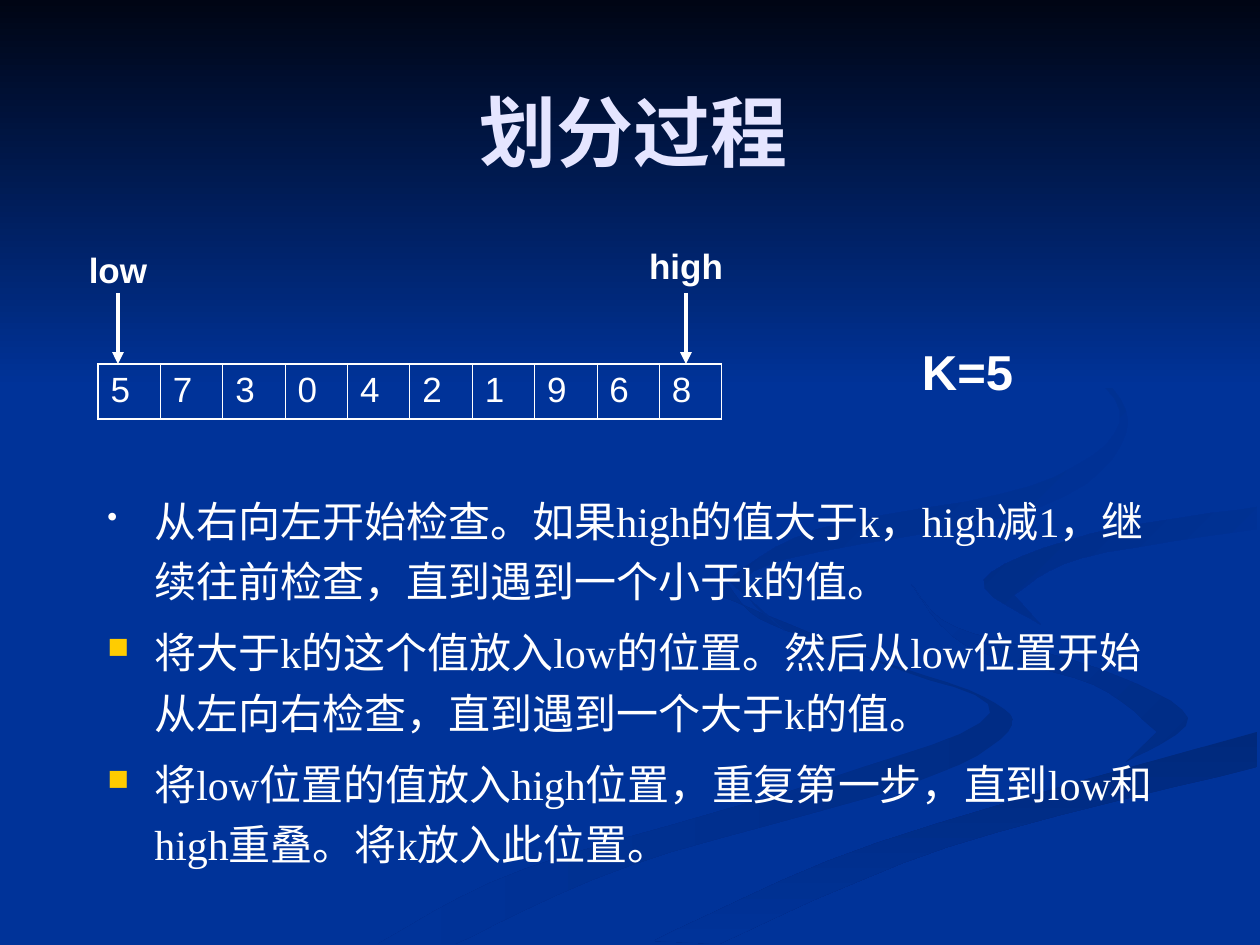
import dataclasses

import lxml.etree
import pptx
import pptx.dml.color
import pptx.enum.shapes
import pptx.enum.text
import pptx.oxml.ns
import pptx.util

SCALE = 914400 / 126  # EMU in one px
ALIGN = pptx.enum.text.PP_ALIGN
ANCHOR = pptx.enum.text.MSO_ANCHOR


@dataclasses.dataclass(frozen=True)
class Theme:
    night: str = "000514"
    blue: str = "003399"
    shade: str = "002C85"
    deep_shade: str = "00297C"
    heading: str = "E5E5FF"
    white: str = "FFFFFF"
    gold: str = "FFCC00"
    serif: str = "Times New Roman"
    sans: str = "Arial"
    title_size: int = 44
    key_size: int = 28
    body_size: int = 24
    label_size: int = 20


@dataclasses.dataclass(frozen=True)
class Box:
    left: int
    top: int
    width: int
    height: int


THEME = Theme()

# Each swirl: first colour, last colour, gradient angle, then its two edges in px
SWIRLS = [
    (THEME.shade, THEME.blue, 180,
     [(724, 578), (760, 619), (859, 654), (984, 697), (1008, 732), (908, 785), (629, 866), (455, 944)],
     [(378, 944), (525, 869), (822, 781), (990, 713), (878, 662), (718, 595)]),
    (THEME.shade, THEME.blue, 135,
     [(912, 585), (955, 627), (1097, 668), (1188, 718), (1126, 762)],
     [(1157, 732), (1094, 685), (965, 645), (912, 585)]),
    (THEME.deep_shade, THEME.blue, 270,
     [(654, 941), (877, 843), (1257, 732)],
     [(1257, 767), (948, 847), (719, 944)]),
    (THEME.blue, THEME.shade, 135,
     [(1257, 507), (1090, 534), (984, 580), (1041, 625)],
     [(1014, 595), (1082, 558), (1257, 529)]),
    (THEME.blue, THEME.shade, 135,
     [(960, 294), (1089, 367), (1126, 433), (1040, 507), (786, 559), (747, 592), (784, 630)],
     [(728, 580), (818, 529), (1031, 486), (1120, 422), (1066, 352), (960, 294)]),
]
VALUES = "5730421968"
STEPS = [
    ("•", THEME.white, 15, "从右向左开始检查。如果high的值大于k，high减1，继续往前检查，直到遇到一个小于k的值。"),
    ("■", THEME.gold, 6, "将大于k的这个值放入low的位置。然后从low位置开始从左向右检查，直到遇到一个大于k的值。"),
    ("■", THEME.gold, 6, "将low位置的值放入high位置，重复第一步，直到low和high重叠。将k放入此位置。"),
]


def px(length):
    return pptx.util.Emu(round(length * SCALE))


def place(box):
    return [px(length) for length in dataclasses.astuple(box)]


def rgb(colour):
    return pptx.dml.color.RGBColor.from_string(colour)


def add_node(parent, tag, **attributes):
    return lxml.etree.SubElement(parent, pptx.oxml.ns.qn(tag), attributes)


def style_text(para, font, size, colour, bold=False):
    for span in para.runs:
        span.font.name = font
        span.font.size = pptx.util.Pt(size)
        span.font.bold = bold
        span.font.color.rgb = rgb(colour)


def smooth(edge, steps=6):
    """Return points on a Catmull-Rom curve through the edge."""
    knots = [edge[0], *edge, edge[-1]]
    curve = []
    for quad in zip(knots, knots[1:], knots[2:], knots[3:]):
        for step in range(steps):
            t = step / steps
            curve.append(tuple(
                b + t / 2 * (c - a + t * (2 * a - 5 * b + 4 * c - d + t * (3 * (b - c) + d - a)))
                for a, b, c, d in zip(*quad)))
    return curve + [edge[-1]]


def paint(shape, first, last, angle):
    """Fill without outline or shadow; the angle runs counter-clockwise."""
    shape.shadow.inherit = False
    shape.line.fill.background()
    shape.fill.gradient()
    shape.fill.gradient_angle = angle
    for stop, colour in zip(shape.fill.gradient_stops, (first, last)):
        stop.color.rgb = rgb(colour)


def add_backdrop(page, box):
    page.background.fill.solid()
    page.background.fill.fore_color.rgb = rgb(THEME.blue)
    for first, last, angle, *edges in SWIRLS:
        outline = [point for edge in edges for point in smooth(edge)]
        builder = page.shapes.build_freeform(*outline[0], scale=SCALE)
        builder.add_line_segments(outline[1:], close=True)
        paint(builder.convert_to_shape(px(box.left), px(box.top)), first, last, angle)
    sky = Box(box.left, box.top, box.width, 388)
    shape = page.shapes.add_shape(pptx.enum.shapes.MSO_SHAPE.RECTANGLE, *place(sky))
    paint(shape, THEME.night, THEME.blue, 270)


def add_text(page, box, text, font, size, colour, before=0, anchor=ANCHOR.TOP):
    """Add one centred bold line."""
    frame = page.shapes.add_textbox(*place(box)).text_frame
    frame.word_wrap = True
    frame.vertical_anchor = anchor
    para = frame.paragraphs[0]
    para.text = text
    para.alignment = ALIGN.CENTER
    para.space_before = pptx.util.Pt(before)
    style_text(para, font, size, colour, bold=True)


def add_steps(page, box):
    frame = page.shapes.add_textbox(*place(box)).text_frame
    frame.word_wrap = True
    frame.text = "\n".join(text for *_, text in STEPS)
    for para, (bullet, colour, before, _) in zip(frame.paragraphs, STEPS):
        para.line_spacing = 1.2
        para.space_before = pptx.util.Pt(before)
        style_text(para, THEME.serif, THEME.body_size, THEME.white)
        props = para._p.get_or_add_pPr()
        props.set("marL", str(px(47)))
        props.set("indent", str(px(-47)))
        add_node(add_node(props, "a:buClr"), "a:srgbClr", val=colour)
        add_node(props, "a:buSzPct", val="70000")
        add_node(props, "a:buChar", char=bullet)


def set_borders(cell, widths):
    props = cell._tc.get_or_add_tcPr()
    for side, width in widths.items():
        line = add_node(props, "a:ln" + side, w=str(pptx.util.Pt(width)))
        add_node(add_node(line, "a:solidFill"), "a:srgbClr", val=THEME.white)


def add_array(page, box):
    table = page.shapes.add_table(1, len(VALUES), *place(box)).table
    table.first_row = table.horz_banding = False
    thin, thick = 0.45, 1.08
    last = len(VALUES) - 1
    for index, value in enumerate(VALUES):
        table.columns[index].width = px(box.width / len(VALUES))
        cell = table.cell(0, index)
        cell.text_frame.text = value
        style_text(cell.text_frame.paragraphs[0], THEME.sans, THEME.label_size, THEME.white)
        set_borders(cell, {"L": thick if index == 0 else thin, "R": thick if index == last else thin,
                           "T": thick, "B": thick})
        cell.fill.background()


def add_pointer(page, box, name):
    """Put a name at the top of the box and an arrow from it to the bottom."""
    label = Box(box.left, box.top, box.width, 55)
    add_text(page, label, name, THEME.sans, THEME.label_size, THEME.white, before=12.5)
    centre, bottom = px(box.left + box.width / 2), box.top + box.height
    arrow = page.shapes.add_connector(pptx.enum.shapes.MSO_CONNECTOR.STRAIGHT,
                                      centre, px(bottom - 71), centre, px(bottom))
    arrow.line.color.rgb = rgb(THEME.white)
    arrow.line.width = pptx.util.Pt(2.25)
    add_node(arrow.line._get_or_add_ln(), "a:tailEnd", type="triangle")
    add_node(arrow._element.spPr, "a:effectLst")


def main():
    deck = pptx.Presentation()
    deck.slide_width, deck.slide_height = px(1260), px(945)
    page = deck.slides.add_slide(deck.slide_layouts[6])
    add_backdrop(page, Box(0, 0, 1260, 945))
    add_text(page, Box(98, 52, 1071, 157), "划分过程", THEME.serif, THEME.title_size, THEME.heading,
             anchor=ANCHOR.MIDDLE)
    add_steps(page, Box(95, 479, 1071, 407))
    add_array(page, Box(98, 364, 624, 54))
    add_pointer(page, Box(66, 242, 104, 122), "low")
    add_pointer(page, Box(634, 238, 104, 126), "high")
    add_text(page, Box(813, 335, 309, 72), "K=5", THEME.sans, THEME.key_size, THEME.white, before=17.5)
    deck.save("out.pptx")


if __name__ == "__main__":
    main()
